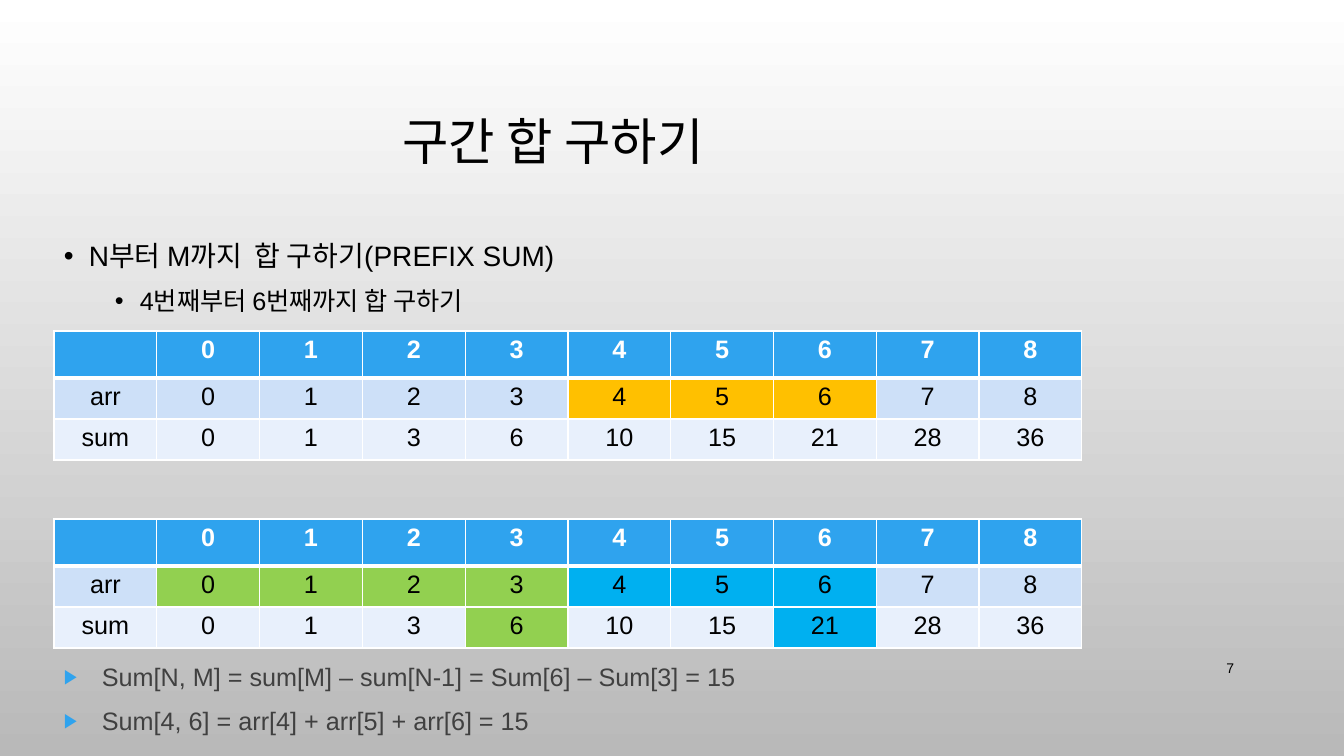
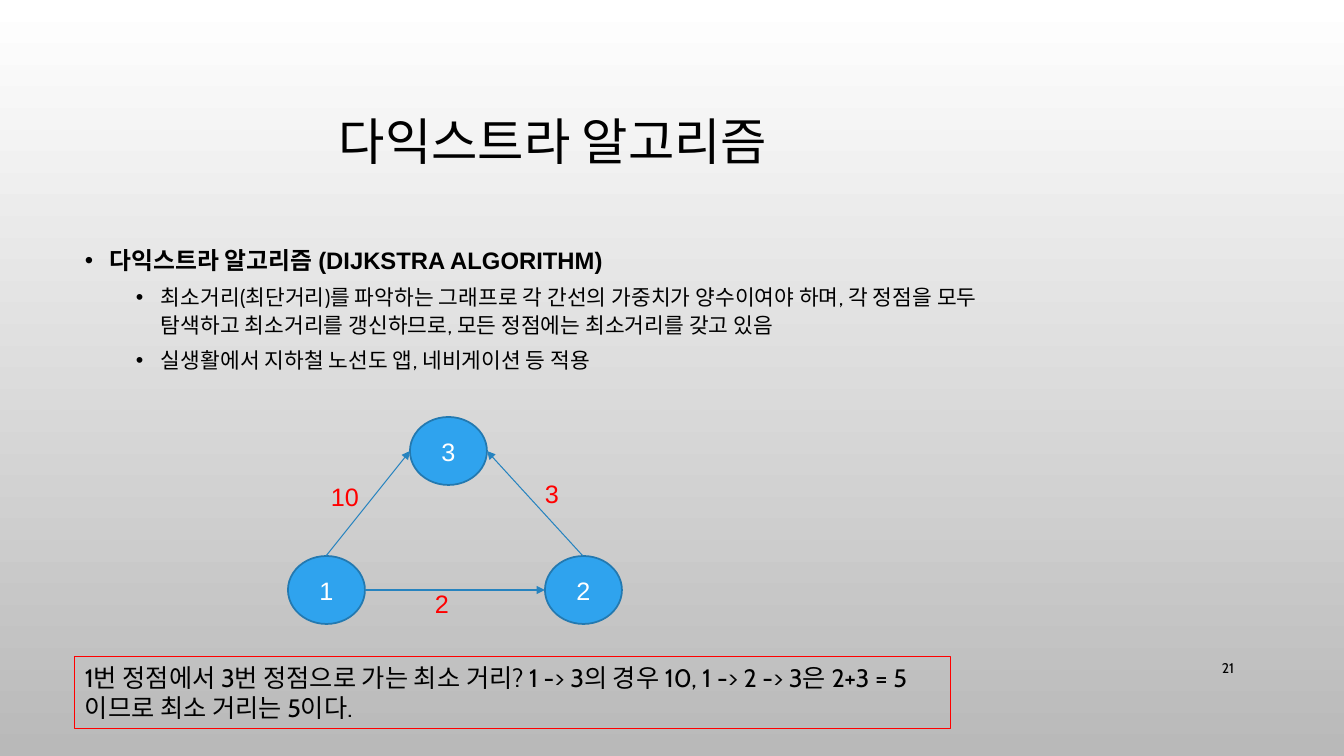
from dataclasses import dataclass
from typing import Any, Optional

from pptx import Presentation
from pptx.dml.color import RGBColor
from pptx.enum.shapes import MSO_CONNECTOR, MSO_SHAPE
from pptx.enum.text import MSO_ANCHOR, PP_ALIGN
from pptx.oxml.ns import qn
from pptx.oxml.xmlchemy import OxmlElement
from pptx.util import Emu, Pt

WHITE = RGBColor(0xFF, 0xFF, 0xFF)
BLACK = RGBColor(0x00, 0x00, 0x00)
GRAY = RGBColor(0xB9, 0xB9, 0xB9)
DARK_GRAY = RGBColor(0x40, 0x40, 0x40)
RED = RGBColor(0xFF, 0x00, 0x00)
BLUE = RGBColor(0x2F, 0xA3, 0xEE)
NODE_LINE = RGBColor(0x23, 0x79, 0xB0)
ARROW_BLUE = RGBColor(0x26, 0x83, 0xBF)
PALE_BLUE = RGBColor(0xCD, 0xE0, 0xF8)
PALER_BLUE = RGBColor(0xE8, 0xF0, 0xFC)
ORANGE = RGBColor(0xFF, 0xC0, 0x00)
GREEN = RGBColor(0x92, 0xD0, 0x50)
SKY = RGBColor(0x00, 0xB0, 0xF0)

ARIAL, CABIN = "Arial", "Cabin"
EMU_PER_PX = 12192000 / 1344
MIDDLE = {"word_wrap": True, "vertical_anchor": MSO_ANCHOR.MIDDLE}
WRAPPED = {"word_wrap": True, "vertical_anchor": MSO_ANCHOR.TOP}
UNWRAPPED = {"word_wrap": False, "vertical_anchor": MSO_ANCHOR.TOP}

Point = tuple[int, int]
Highlights = dict[tuple[int, int], RGBColor]


def px(value: int) -> Emu:
    return Emu(round(value * EMU_PER_PX))


@dataclass(frozen=True)
class Box:
    left: int
    top: int
    width: int
    height: int

    def emu(self) -> tuple[Emu, ...]:
        return tuple(px(v) for v in (self.left, self.top, self.width, self.height))

    def side(self, name: str) -> Point:
        """Middle point of the named side."""
        center, middle = self.left + self.width // 2, self.top + self.height // 2
        return {
            "top": (center, self.top),
            "left": (self.left, middle),
            "right": (self.left + self.width, middle),
        }[name]


@dataclass(frozen=True)
class Bullet:
    char: str
    color: RGBColor
    indent: int
    hang: int
    percent: int = 100


@dataclass(frozen=True)
class Para:
    text: str
    size: float = 18
    font: str = ARIAL
    color: RGBColor = BLACK
    bold: bool = False
    align: PP_ALIGN = PP_ALIGN.LEFT
    spacing: float = 1.0
    before: float = 0
    level: int = 0
    bullet: Optional[Bullet] = None


@dataclass(frozen=True)
class Edge:
    start: str
    start_side: str
    end: str
    end_side: str
    weight: str
    label: Box


TITLE_BOX = Box(79, 72, 948, 145)
NUMBER_BOX = Box(1159, 648, 85, 40)
DOTS = (Bullet("•", BLACK, 25, 25), Bullet("•", BLACK, 76, 25))
TRIANGLE = Bullet("▶", BLUE, 38, 38, 80)

HEADER = ["", *map(str, range(9))]
ARRAY_ROW = ["arr", *map(str, range(9))]
SUM_ROW = ["sum", *(str(n * (n + 1) // 2) for n in range(9))]
HEADER_HEIGHT, ROW_HEIGHT = 47, 41
RANGE_CELLS: Highlights = {(1, column): ORANGE for column in (5, 6, 7)}
PREFIX_CELLS: Highlights = {
    **{(1, column): GREEN for column in range(1, 5)},
    **{(1, column): SKY for column in (5, 6, 7)},
    (2, 4): GREEN,
    (2, 7): SKY,
}

NODES = {
    "3": Box(410, 417, 77, 68),
    "1": Box(288, 556, 77, 68),
    "2": Box(545, 556, 77, 68),
}
EDGES = (
    Edge("1", "right", "2", "left", "2", Box(425, 583, 35, 40)),
    Edge("2", "top", "3", "right", "3", Box(535, 473, 35, 40)),
    Edge("1", "top", "3", "left", "10", Box(321, 476, 49, 40)),
)


def set_values(target: Any, values: dict[str, Any]) -> None:
    for name, value in values.items():
        setattr(target, name, value)


def add_xml(parent: Any, tag: str, **attributes: Any) -> Any:
    child = OxmlElement(tag)
    for name, value in attributes.items():
        child.set(name, str(value))
    parent.append(child)
    return child


def add_bullet(para: Any, bullet: Bullet) -> None:
    properties = para._p.get_or_add_pPr()
    properties.set("marL", str(px(bullet.indent)))
    properties.set("indent", str(-px(bullet.hang)))
    color = add_xml(properties, "a:buClr")
    add_xml(color, "a:srgbClr", val=bullet.color)
    add_xml(properties, "a:buSzPct", val=bullet.percent * 1000)
    add_xml(properties, "a:buFont", typeface=ARIAL)
    add_xml(properties, "a:buChar", char=bullet.char)


def write(frame: Any, paras: list[Para], frame_format: dict[str, Any]) -> None:
    set_values(frame, frame_format)
    for index, item in enumerate(paras):
        para = frame.add_paragraph() if index else frame.paragraphs[0]
        set_values(para, {
            "alignment": item.align,
            "line_spacing": item.spacing,
            "space_before": Pt(item.before),
            "level": item.level,
        })
        if item.bullet:
            add_bullet(para, item.bullet)
        span = para.add_run()
        span.text = item.text
        set_values(span.font, {"name": item.font, "size": Pt(item.size), "bold": item.bold})
        span.font.color.rgb = item.color


def add_text(page: Any, box: Box, paras: list[Para], frame_format: dict[str, Any]) -> None:
    write(page.shapes.add_textbox(*box.emu()).text_frame, paras, frame_format)


def add_outlined(page: Any, kind: MSO_SHAPE, box: Box, fill: Optional[RGBColor],
                 line: RGBColor, width: float) -> Any:
    shape = page.shapes.add_shape(kind, *box.emu())
    shape.shadow.inherit = False
    if fill is None:
        shape.fill.background()
    else:
        shape.fill.solid()
        shape.fill.fore_color.rgb = fill
    shape.line.color.rgb = line
    shape.line.width = Pt(width)
    return shape


def add_arrow(page: Any, start: Point, end: Point) -> None:
    ends = (px(value) for value in (*start, *end))
    arrow = page.shapes.add_connector(MSO_CONNECTOR.STRAIGHT, *ends)
    arrow.line.color.rgb = ARROW_BLUE
    arrow.line.width = Pt(0.75)
    properties = arrow._element.spPr
    add_xml(properties.find(qn("a:ln")), "a:tailEnd", type="triangle")
    add_xml(properties, "a:effectLst")


def add_borders(cell: Any, bottom: int) -> None:
    properties = cell._tc.get_or_add_tcPr()
    for side, width in {"L": 1, "R": 1, "T": 1, "B": bottom}.items():
        line = add_xml(properties, f"a:ln{side}", w=Pt(width))
        add_xml(add_xml(line, "a:solidFill"), "a:srgbClr", val=WHITE)


def add_sum_table(page: Any, top: int, highlights: Highlights) -> None:
    rows = [HEADER, ARRAY_ROW, SUM_ROW]
    fills = [BLUE, PALE_BLUE, PALER_BLUE]
    heights = [HEADER_HEIGHT, ROW_HEIGHT, ROW_HEIGHT]
    box = Box(54, top, 1028, sum(heights))
    table = page.shapes.add_table(len(rows), len(HEADER), *box.emu()).table
    set_values(table, {"first_row": False, "horz_banding": False})
    for row, texts in enumerate(rows):
        table.rows[row].height = px(heights[row])
        is_header = row == 0
        for column, text in enumerate(texts):
            cell = table.cell(row, column)
            add_borders(cell, 3 if is_header else 1)
            cell.fill.solid()
            cell.fill.fore_color.rgb = highlights.get((row, column), fills[row])
            if text:
                color = WHITE if is_header else BLACK
                para = Para(text, color=color, bold=is_header, align=PP_ALIGN.CENTER)
                write(cell.text_frame, [para], {})


def add_page(deck: Any, title: str, number: str, number_font: str) -> Any:
    page = deck.slides.add_slide(deck.slide_layouts[6])
    heading = Para(title, 36, CABIN, align=PP_ALIGN.CENTER, spacing=0.9)
    add_text(page, TITLE_BOX, [heading], MIDDLE)
    add_text(page, NUMBER_BOX, [Para(number, 10, number_font, align=PP_ALIGN.RIGHT)], MIDDLE)
    return page


def add_prefix_sum_page(deck: Any) -> None:
    page = add_page(deck, "구간 합 구하기", "7", ARIAL)
    add_text(page, Box(54, 227, 997, 209), [
        Para("N부터 M까지  합 구하기(PREFIX SUM)", 20, spacing=1.2, before=10, bullet=DOTS[0]),
        Para("4번째부터 6번째까지 합 구하기", spacing=1.2, before=5, level=1, bullet=DOTS[1]),
    ], WRAPPED)
    add_sum_table(page, 331, RANGE_CELLS)
    add_sum_table(page, 519, PREFIX_CELLS)
    formulas = (
        "Sum[N, M] = sum[M] – sum[N-1] = Sum[6] – Sum[3] = 15",
        "Sum[4, 6] = arr[4] + arr[5] + arr[6] = 15",
    )
    add_text(page, Box(54, 656, 1028, 79), [
        Para(formula, color=DARK_GRAY, before=10, bullet=TRIANGLE) for formula in formulas
    ], WRAPPED)


def add_dijkstra_page(deck: Any) -> None:
    page = add_page(deck, "다익스트라 알고리즘", "21", CABIN)
    details = (
        "최소거리(최단거리)를 파악하는 그래프로 각 간선의 가중치가 양수이여야 하며, "
        "각 정점을 모두 탐색하고 최소거리를 갱신하므로, 모든 정점에는 최소거리를 갖고 있음",
        "실생활에서 지하철 노선도 앱, 네비게이션 등 적용",
    )
    add_text(page, Box(75, 238, 920, 169), [
        Para("다익스트라 알고리즘 (DIJKSTRA ALGORITHM)", 17, bold=True,
             spacing=1.1, before=10, bullet=DOTS[0]),
        *(Para(detail, 15.3, CABIN, spacing=1.1, before=5, level=1, bullet=DOTS[1])
          for detail in details),
    ], WRAPPED)
    for name, box in NODES.items():
        node = add_outlined(page, MSO_SHAPE.OVAL, box, BLUE, NODE_LINE, 1.25)
        write(node.text_frame, [Para(name, color=WHITE, align=PP_ALIGN.CENTER)], MIDDLE)
    for edge in EDGES:
        add_arrow(page, NODES[edge.start].side(edge.start_side),
                  NODES[edge.end].side(edge.end_side))
        add_text(page, edge.label, [Para(edge.weight, color=RED)], UNWRAPPED)
    answer = add_outlined(page, MSO_SHAPE.RECTANGLE, Box(75, 657, 876, 72), None, RED, 0.75)
    write(answer.text_frame, [Para(
        "1번 정점에서 3번 정점으로 가는 최소 거리? 1 -> 3의 경우 10, "
        "1 -> 2 -> 3은 2+3 = 5이므로 최소 거리는 5이다.", font=CABIN)], WRAPPED)


def main() -> None:
    deck = Presentation()
    set_values(deck, {"slide_width": px(1344), "slide_height": px(756)})
    fill = deck.slide_master.background.fill
    fill.gradient()
    fill.gradient_angle = 270
    for stop, color in zip(fill.gradient_stops, (WHITE, GRAY)):
        stop.color.rgb = color
    add_prefix_sum_page(deck)
    add_dijkstra_page(deck)
    deck.save("out.pptx")


if __name__ == "__main__":
    main()
